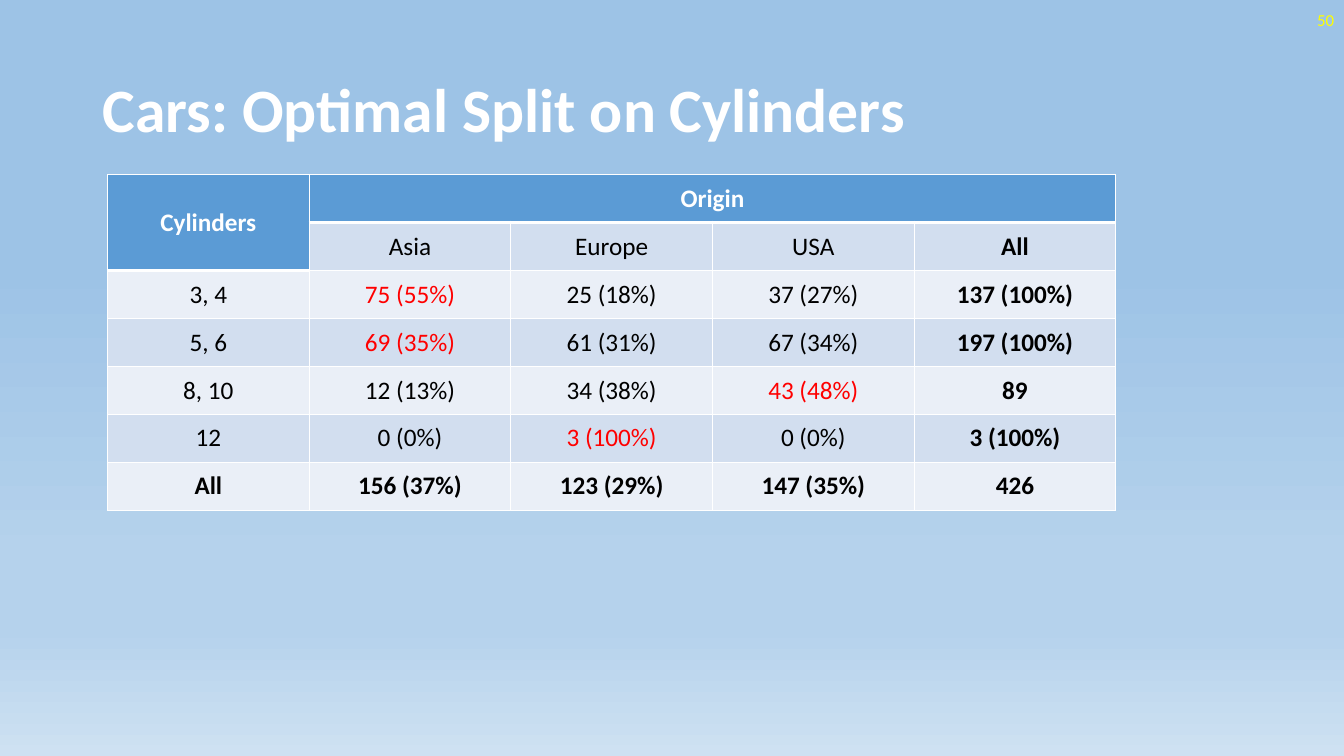
import lxml.etree
import pptx
import pptx.dml.color
import pptx.enum.text
import pptx.oxml.ns
import pptx.util

RGB = pptx.dml.color.RGBColor
ALIGN = pptx.enum.text.PP_ALIGN
MIDDLE = pptx.enum.text.MSO_ANCHOR.MIDDLE
qn = pptx.oxml.ns.qn

WHITE = RGB(0xFF, 0xFF, 0xFF)
BLACK = RGB(0, 0, 0)
RED = RGB(0xFF, 0, 0)
YELLOW = RGB(0xFF, 0xFF, 0)
HEADER = RGB(0x5B, 0x9B, 0xD5)
BANDS = (RGB(0xEA, 0xEF, 0xF7), RGB(0xD2, 0xDE, 0xEF))
SKY = (
    (35, RGB(0x9D, 0xC3, 0xE6)),
    (74, RGB(0xB5, 0xD2, 0xEC)),
    (83, RGB(0xB5, 0xD2, 0xEC)),
    (100, RGB(0xCE, 0xE1, 0xF2)),
)
FONT = "Calibri"
WIDTH, HEIGHT = pptx.util.Inches(13.33), pptx.util.Inches(7.5)
ROW_HEIGHT = pptx.util.Inches(3.33 / 7)
COL_WIDTH = pptx.util.Inches(2)

ROWS = (
    ("Cylinders", "Origin", "", "", ""),
    ("", "Asia", "Europe", "USA", "All"),
    ("3, 4", "75 (55%)", "25 (18%)", "37 (27%)", "137 (100%)"),
    ("5, 6", "69 (35%)", "61 (31%)", "67 (34%)", "197 (100%)"),
    ("8, 10", "12 (13%)", "34 (38%)", "43 (48%)", "89"),
    ("12", "0 (0%)", "3 (100%)", "0 (0%)", "3 (100%)"),
    ("All", "156 (37%)", "123 (29%)", "147 (35%)", "426"),
)
LAST_ROW, LAST_COL = len(ROWS) - 1, len(ROWS[0]) - 1


def put_text(tf, text, size=18, color=BLACK, bold=False, align=ALIGN.CENTER, spacing=1.0):
    p = tf.paragraphs[0]
    p.alignment = align
    p.line_spacing = spacing
    r = p.add_run()
    r.text = text
    r.font.name = FONT
    r.font.size = pptx.util.Pt(size)
    r.font.bold = bold
    r.font.color.rgb = color


def paint_background(s):
    fill = s.background.fill
    fill.gradient()
    fill.gradient_angle = 270
    stops = s.element.find(".//" + qn("a:gsLst"))
    for stop in list(stops):
        stops.remove(stop)
    for percent, color in SKY:
        stop = lxml.etree.SubElement(stops, qn("a:gs"), pos=str(percent * 1000))
        lxml.etree.SubElement(stop, qn("a:srgbClr"), val=str(color))


def place(sp, left, top, width, height):
    """Set position and size as shares of the slide."""
    sp.left, sp.width = int(left * WIDTH), int(width * WIDTH)
    sp.top, sp.height = int(top * HEIGHT), int(height * HEIGHT)


def add_title(s, text):
    sp = s.shapes.title
    place(sp, 0.069, 0.053, 0.863, 0.193)
    sp.text_frame.vertical_anchor = MIDDLE
    put_text(sp.text_frame, text, size=44, color=WHITE, bold=True,
             align=ALIGN.LEFT, spacing=0.9)


def add_page_number(s, text):
    sp = s.shapes.add_textbox(0, 0, 0, 0)
    place(sp, 0.775, 0, 0.225, 0.053)
    sp.text_frame.word_wrap = True
    sp.text_frame.vertical_anchor = MIDDLE
    put_text(sp.text_frame, text, size=12, color=YELLOW, align=ALIGN.RIGHT)


def set_borders(cell, top, bottom):
    """Draw white borders; top and bottom are widths in points."""
    props = cell._tc.get_or_add_tcPr()
    for side, points in (("L", 1), ("R", 1), ("T", top), ("B", bottom)):
        ln = lxml.etree.SubElement(props, qn("a:ln" + side), w=str(pptx.util.Pt(points)))
        fill = lxml.etree.SubElement(ln, qn("a:solidFill"))
        lxml.etree.SubElement(fill, qn("a:srgbClr"), val=str(WHITE))


def text_color(r, c):
    """Mark the largest origin of each cylinder group in red."""
    if 2 <= r < LAST_ROW and 1 <= c < LAST_COL:
        counts = [int(text.split()[0]) for text in ROWS[r][1:LAST_COL]]
        if counts[c - 1] == max(counts):
            return RED
    return BLACK


def format_cell(cell, r, c):
    header_end = 1 if c == 0 else 0
    is_header = r <= header_end
    set_borders(cell, top=3 if r == header_end + 1 else 1,
                bottom=3 if is_header else 1)
    cell.fill.solid()
    cell.fill.fore_color.rgb = HEADER if is_header else BANDS[r % 2]
    cell.vertical_anchor = MIDDLE
    if ROWS[r][c]:
        put_text(cell.text_frame, ROWS[r][c],
                 color=WHITE if is_header else text_color(r, c),
                 bold=is_header or r == LAST_ROW or c == LAST_COL)


def add_split_table(s):
    rows, cols = len(ROWS), len(ROWS[0])
    table = s.shapes.add_table(
        rows, cols, int(0.08 * WIDTH), int(0.231 * HEIGHT),
        cols * COL_WIDTH, rows * ROW_HEIGHT).table
    for row in table.rows:
        row.height = ROW_HEIGHT
    for r in range(rows):
        for c in range(cols):
            format_cell(table.cell(r, c), r, c)
    table.cell(0, 0).merge(table.cell(1, 0))
    table.cell(0, 1).merge(table.cell(0, LAST_COL))


def main():
    prs = pptx.Presentation()
    prs.slide_width, prs.slide_height = WIDTH, HEIGHT
    s = prs.slides.add_slide(prs.slide_layouts[5])
    paint_background(s)
    add_title(s, "Cars: Optimal Split on Cylinders")
    add_page_number(s, "50")
    add_split_table(s)
    prs.save("out.pptx")


if __name__ == "__main__":
    main()
